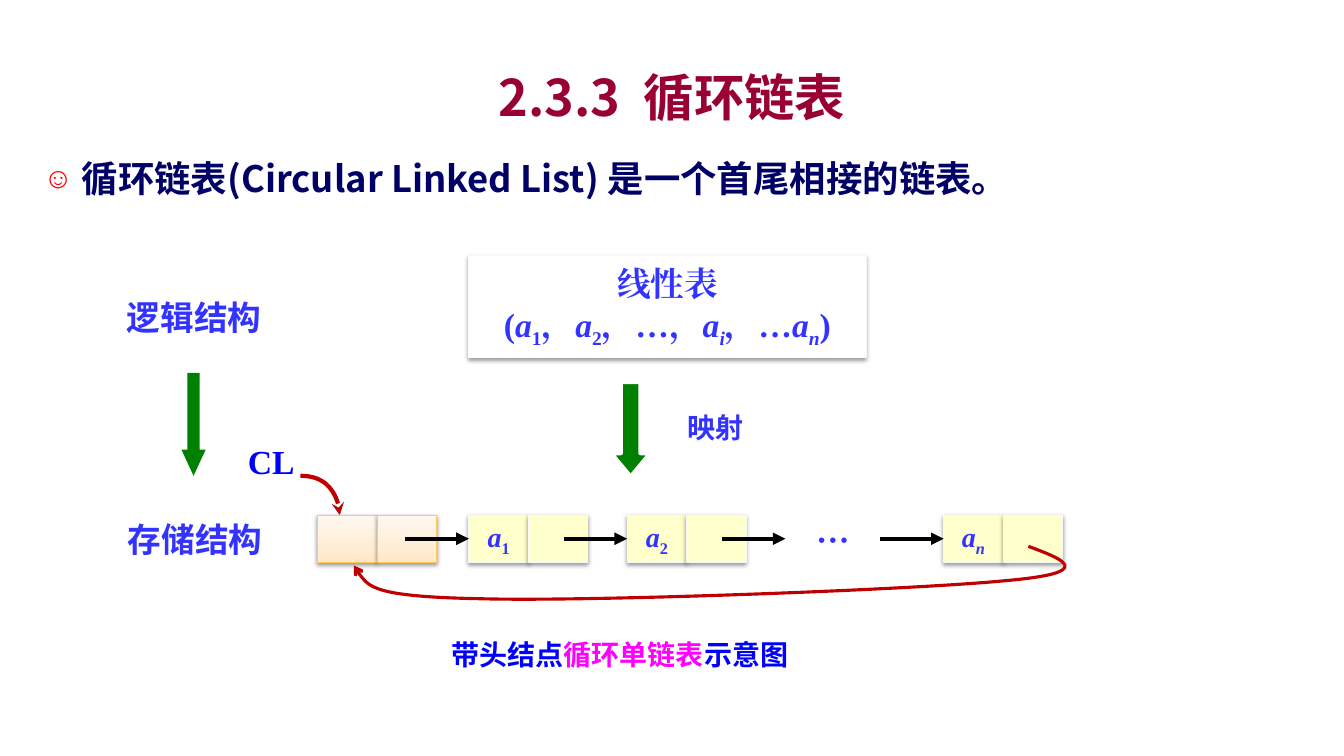
from dataclasses import dataclass

from lxml.etree import SubElement
from pptx import Presentation
from pptx.dml.color import RGBColor
from pptx.enum.shapes import MSO_CONNECTOR as Link, MSO_SHAPE as Kind
from pptx.enum.text import MSO_ANCHOR as Anchor, MSO_AUTO_SIZE as Fit, PP_ALIGN as Align
from pptx.oxml import parse_xml
from pptx.oxml.ns import nsdecls, qn
from pptx.util import Inches, Pt


@dataclass(frozen=True)
class Theme:
    sans: str = "Noto Sans CJK SC"
    serif: str = "Times New Roman"
    title: str = "990033"
    navy: str = "000066"
    text: str = "3333FF"
    blue: str = "0000FF"
    pink: str = "FF00FF"
    red: str = "C00000"
    smile: str = "FF0000"
    green: str = "008000"
    cell: str = "FFFFCC"
    edge: str = "F9F9F9"
    gold: str = "FDC960"
    white: str = "FFFFFF"
    black: str = "000000"
    huge: int = 36
    lead: int = 26
    big: int = 24
    small: int = 20


theme = Theme()
rgb = RGBColor.from_string


def write(para, text, size, color, face=theme.sans, flags=""):
    """Add one bold run; flag i makes it italic, flag s a subscript."""
    run = para.add_run()
    run.text = text
    font = run.font
    font.size, font.bold, font.italic = Pt(size), True, "i" in flags
    font.color.rgb = rgb(color)
    font.name = face
    props = font._element
    SubElement(props, qn("a:ea")).set("typeface", face)
    if "s" in flags:
        props.set("baseline", "-25000")


def block(x, y, wide, high, fill, edge):
    """Add a rectangle with a thin edge and a soft shadow below it."""
    rect = shapes.add_shape(Kind.RECTANGLE, Inches(x), Inches(y), Inches(wide), Inches(high))
    rect.fill.solid()
    rect.fill.fore_color.rgb = rgb(fill)
    rect.line.color.rgb = rgb(edge)
    rect.line.width = Pt(0.75)
    rect._element.spPr.append(parse_xml(
        f'<a:effectLst {nsdecls("a")}><a:outerShdw blurRad="{Pt(3.1)}" dist="{Pt(1.6)}"'
        ' dir="5400000" rotWithShape="0"><a:srgbClr val="000000"><a:alpha val="38000"/>'
        '</a:srgbClr></a:outerShdw></a:effectLst>'))
    rect.text_frame.word_wrap = False
    rect.text_frame.vertical_anchor = Anchor.MIDDLE
    rect.text_frame.paragraphs[0].alignment = Align.CENTER
    return rect


deck = Presentation()
deck.slide_width, deck.slide_height = Inches(13.33), Inches(7.5)
slide = deck.slides.add_slide(deck.slide_layouts[1])
shapes = slide.shapes

# Title and definition
title, body = slide.placeholders
title.left, title.top, title.width, title.height = map(Inches, (1, 0.58, 11.33, 0.75))
title.text_frame.vertical_anchor = Anchor.MIDDLE
para = title.text_frame.paragraphs[0]
para.alignment = Align.CENTER
write(para, "2.3.3  循环链表", theme.huge, theme.title)

body.left, body.top, body.width, body.height = map(Inches, (0.33, 1.5, 12.56, 0.58))
para = body.text_frame.paragraphs[0]
props = para._p.get_or_add_pPr()
props.set("marL", str(Inches(0.38)))
props.set("indent", str(Inches(-0.38)))
tint = SubElement(props, qn("a:buClr"))
SubElement(tint, qn("a:srgbClr")).set("val", theme.smile)
SubElement(props, qn("a:buSzPct")).set("val", "80000")
SubElement(props, qn("a:buChar")).set("char", "☺")
para.space_before, para.space_after = Pt(0), Pt(6)
write(para, "循环链表(Circular Linked List) 是一个首尾相接的链表。", theme.lead, theme.navy)

# Linear list
frame = block(4.65, 2.53, 3.94, 1.02, theme.white, theme.edge).text_frame
write(frame.paragraphs[0], "线性表", theme.big, theme.text, theme.serif)
para = frame.add_paragraph()
para.alignment = Align.CENTER
for text, flags in (("(", ""), ("a", "i"), ("1", "s"), ("，", ""), ("a", "i"), ("2", "s"),
                    ("，…，", ""), ("a", "i"), ("i", "is"), ("，…", ""), ("a", "i"),
                    ("n", "is"), (")", "")):
    write(para, text, theme.big, theme.text, theme.serif, flags)

# Mapping arrows
for x, y, wide, high, tip, edge in ((6.06, 3.79, 0.39, 0.94, 0.6, theme.white),
                                    (1.8, 3.7, 0.24, 1.02, 1.08, None)):
    arrow = shapes.add_shape(Kind.DOWN_ARROW, Inches(x), Inches(y), Inches(wide), Inches(high))
    arrow.adjustments[1] = tip
    arrow.shadow.inherit = False
    arrow.fill.solid()
    arrow.fill.fore_color.rgb = rgb(theme.green)
    if edge:
        arrow.line.color.rgb = rgb(edge)
        arrow.line.width = Pt(3)
    else:
        arrow.line.fill.background()

# Nodes: a head, then slots at an equal pitch, the third left open
row, wide, high, first, pitch = 5.11, 0.59, 0.47, 4.65, 1.57
for x in (3.15, 3.15 + wide):
    head = block(x, row, wide, high, theme.white, theme.gold)
    props = head._element.spPr
    stops = "".join(f'<a:gs pos="{at}"><a:srgbClr val="{tone}"/></a:gs>' for at, tone in
                    ((0, "FFE7C6"), (35000, "FFEED7"), (100000, "FFF8F0")))
    props.replace(props.find(qn("a:solidFill")), parse_xml(
        f'<a:gradFill {nsdecls("a")} rotWithShape="1"><a:gsLst>{stops}</a:gsLst>'
        '<a:lin ang="16200000" scaled="0"/></a:gradFill>'))

for slot, (sub, flags) in enumerate((("1", "s"), ("2", "s"), (None, ""), ("n", "is"))):
    x = first + slot * pitch
    mid = Inches(row + high / 2)
    link = shapes.add_connector(Link.STRAIGHT, Inches(x - 0.63), mid, Inches(x), mid)
    link.line.color.rgb = rgb(theme.black)
    link.line.width = Pt(3)
    SubElement(link.line._get_or_add_ln(), qn("a:tailEnd")).set("type", "triangle")
    SubElement(link._element.spPr, qn("a:effectLst"))
    if sub:
        data = block(x, row, wide, high, theme.cell, theme.edge)
        para = data.text_frame.paragraphs[0]
        write(para, "a", theme.small, theme.text, theme.serif, "i")
        write(para, sub, theme.small, theme.text, theme.serif, flags)
        block(x + wide, row, wide, high, theme.cell, theme.edge)
        link.end_connect(data, 1)
    # Keep the arrow above the cells it crosses
    shapes._spTree.append(link._element)

# Labels
for x, y, wide, high, align, size, face, runs in (
    (6.57, 4.02, 1.05, 0.43, Align.CENTER, theme.small, theme.sans, [("映射", theme.text)]),
    (0.98, 2.9, 1.89, 0.5, Align.CENTER, theme.big, theme.sans, [("逻辑结构", theme.text)]),
    (0.99, 5.1, 1.89, 0.5, Align.CENTER, theme.big, theme.sans, [("存储结构", theme.text)]),
    (7.95, 5.11, 0.63, 0.5, Align.CENTER, theme.big, theme.sans, [("…", theme.text)]),
    (2.36, 4.33, 0.7, 0.5, Align.LEFT, theme.big, theme.serif, [("CL", theme.blue)]),
    (4.38, 6.28, 3.91, 0.44, Align.LEFT, theme.small, theme.sans,
     [("带头结点", theme.blue), ("循环单链表", theme.pink), ("示意图", theme.blue)]),
):
    frame = shapes.add_textbox(Inches(x), Inches(y), Inches(wide), Inches(high)).text_frame
    frame.word_wrap = True
    frame.auto_size = Fit.SHAPE_TO_FIT_TEXT
    para = frame.paragraphs[0]
    para.alignment = align
    for text, color in runs:
        write(para, text, size, color, face)

# Curved pointers: a start, then three points for each Bezier segment
for tip, weight, points in (
    ("stealth", 3, [(2.98, 4.72), (3.2, 4.72), (3.37, 4.9), (3.37, 5.11)]),
    ("arrow", 2.25, [(10.2, 5.42), (10.55, 5.55), (10.89, 5.68), (9.98, 5.76),
                     (9.08, 5.85), (5.85, 5.97), (4.77, 5.94),
                     (3.69, 5.92), (3.6, 5.77), (3.51, 5.61)]),
):
    start, *rest = [(Inches(x), Inches(y)) for x, y in points]
    pen = shapes.build_freeform(*start)
    pen.add_line_segments(rest, close=False)
    curve = pen.convert_to_shape()
    curve.shadow.inherit = False
    curve.fill.background()
    curve.line.color.rgb = rgb(theme.red)
    curve.line.width = Pt(weight)
    SubElement(curve.line._get_or_add_ln(), qn("a:tailEnd")).set("type", tip)
    trace = curve._element.xpath(".//a:path")[0]
    steps = trace[1:]
    for at in range(0, len(steps), 3):
        bend = SubElement(trace, qn("a:cubicBezTo"))
        for step in steps[at:at + 3]:
            bend.append(step[0])
            trace.remove(step)

deck.save("out.pptx")
